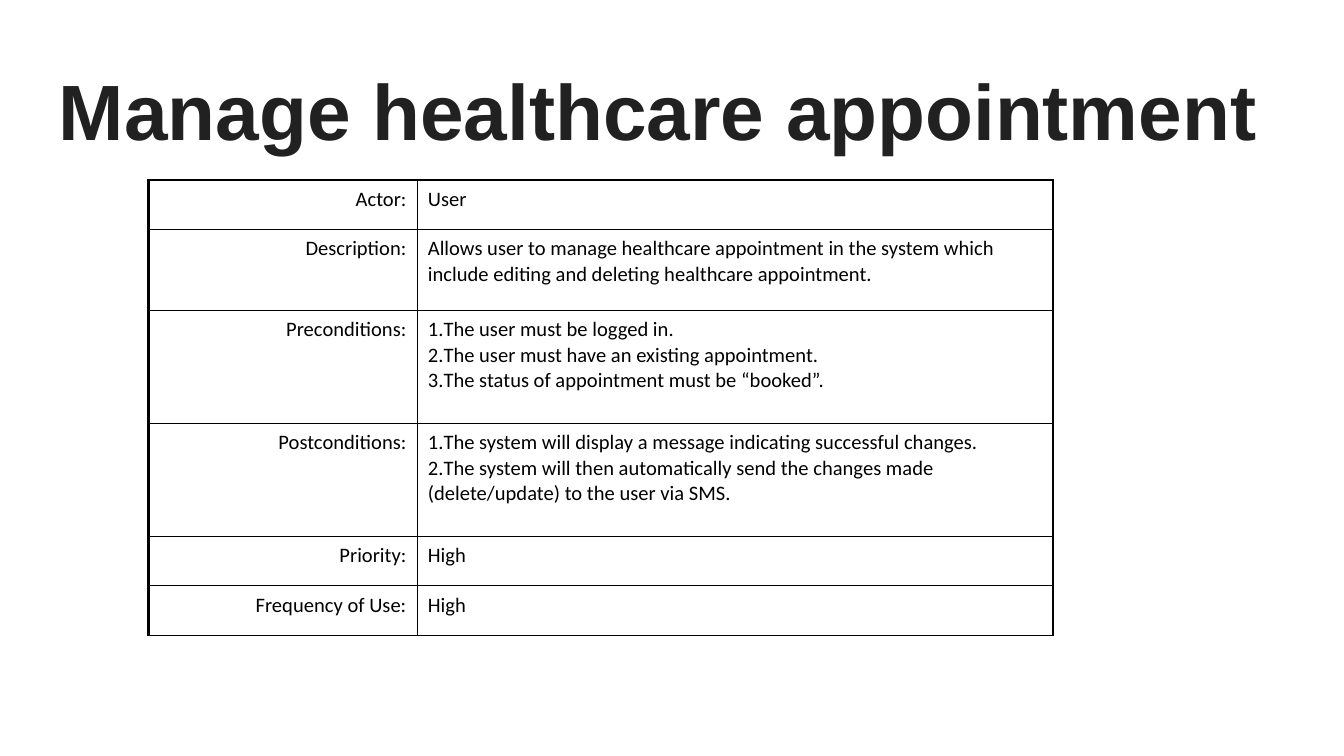
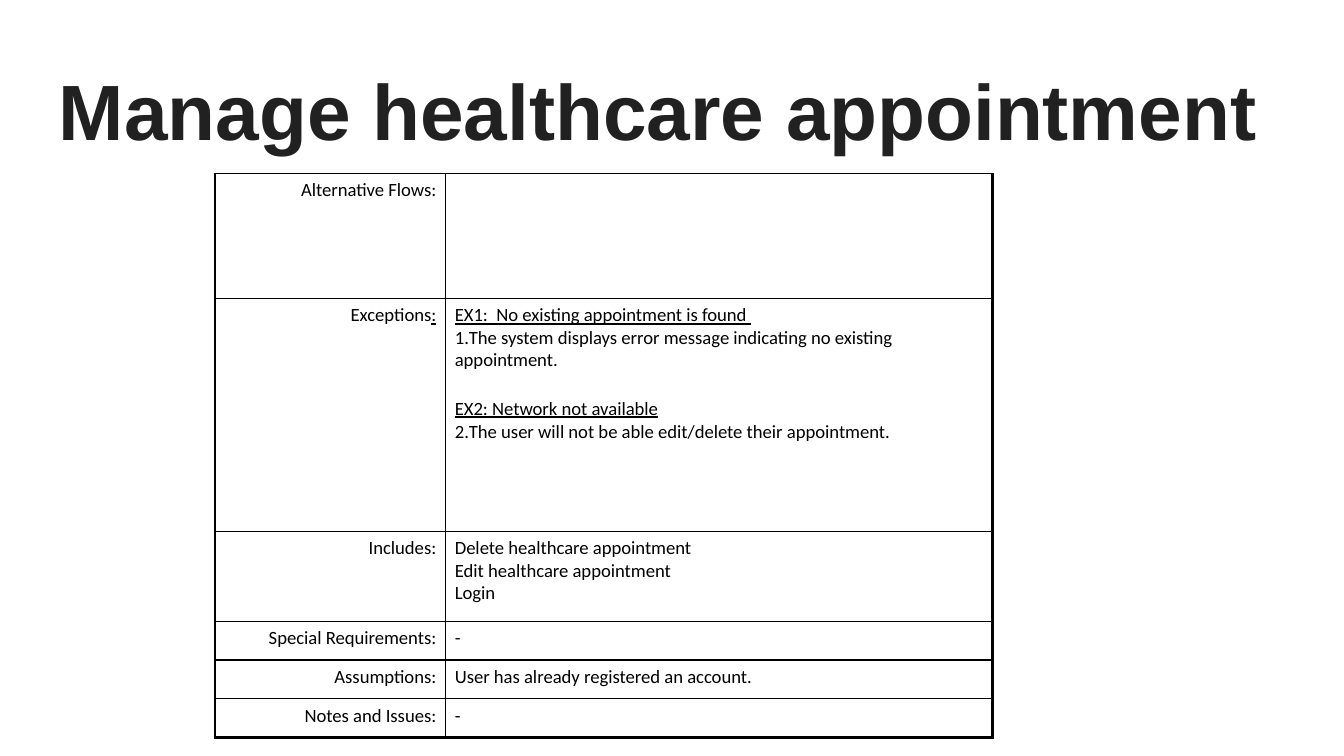
from dataclasses import dataclass

from lxml.etree import SubElement
from pptx import Presentation
from pptx.dml.color import RGBColor
from pptx.enum.text import MSO_ANCHOR, PP_ALIGN
from pptx.oxml.ns import qn
from pptx.util import Pt


@dataclass(frozen=True)
class Theme:
    ink: str = "212121"
    black: str = "000000"
    head: str = "Arial"
    body: str = "Calibri"
    title: float = 42
    thick: float = 1.5
    thin: float = 0.75


@dataclass(frozen=True)
class Line:
    """One paragraph; underscores enclose underlined text, num starts a list."""
    text: str
    num: int = 0
    gap: float = 0


@dataclass(frozen=True)
class Grid:
    left: float
    top: float
    cols: tuple
    rows: tuple
    size: float
    pad: tuple
    edges: str


class Deck:
    def __init__(self, theme):
        self.theme = theme
        self.prs = Presentation()
        self.prs.slide_width, self.prs.slide_height = Pt(720), Pt(405)
        self.slide = None

    def page(self, title):
        self.slide = self.prs.slides.add_slide(self.prs.slide_layouts[6])
        self.title(title)

    def run(self, para, text, font, size, color, bold=False, under=False):
        run = para.add_run()
        run.text = text
        style = run.font
        style.name, style.size = font, Pt(size)
        style.bold, style.underline = bold, under
        style.color.rgb = RGBColor.from_string(color)

    def title(self, text):
        look = self.theme
        box = self.slide.shapes.add_textbox(Pt(24.5), Pt(23), Pt(671), Pt(63.4))
        frame = box.text_frame
        frame.word_wrap = True
        frame.vertical_anchor = MSO_ANCHOR.MIDDLE
        frame.margin_left = frame.margin_right = Pt(7.2)
        frame.margin_top = frame.margin_bottom = Pt(7.2)
        para = frame.paragraphs[0]
        para.line_spacing = 1.15
        self.run(para, text, look.head, look.title, look.ink, bold=True)

    def number(self, para, start, hang):
        props = para._p.get_or_add_pPr()
        props.set("marL", "0")
        props.set("indent", str(-Pt(hang)))
        tint = SubElement(props, qn("a:buClr"))
        SubElement(tint, qn("a:srgbClr"), val=self.theme.black)
        SubElement(props, qn("a:buAutoNum"), type="arabicPeriod", startAt=str(start))

    def border(self, cell, heavy):
        """Rule all four sides, thick on those named in heavy."""
        props = cell._tc.get_or_add_tcPr()
        for side in "LRTB":
            width = self.theme.thick if side in heavy else self.theme.thin
            line = SubElement(props, qn(f"a:ln{side}"), w=str(Pt(width)))
            fill = SubElement(line, qn("a:solidFill"))
            SubElement(fill, qn("a:srgbClr"), val=self.theme.black)

    def fill(self, cell, lines, grid, align):
        look = self.theme
        across, down = grid.pad
        cell.margin_left = cell.margin_right = Pt(across)
        cell.margin_top = cell.margin_bottom = Pt(down)
        frame = cell.text_frame
        for i, line in enumerate(lines):
            para = frame.add_paragraph() if i else frame.paragraphs[0]
            para.alignment = align
            if line.gap:
                para.space_before = Pt(line.gap)
            if line.num:
                self.number(para, line.num, across)
            for j, part in enumerate(line.text.split("_")):
                if part:
                    self.run(para, part, look.body, grid.size, look.black,
                             under=j % 2 == 1)

    def table(self, grid, data):
        frame = self.slide.shapes.add_table(
            len(data), 2, Pt(grid.left), Pt(grid.top),
            Pt(sum(grid.cols)), Pt(sum(grid.rows)))
        table = frame.table
        table.first_row = table.horz_banding = False
        for col, width in zip(table.columns, grid.cols):
            col.width = Pt(width)
        for row, height in zip(table.rows, grid.rows):
            row.height = Pt(height)
        ends = {0: "T", len(data) - 1: "B"}
        for r, (label, lines) in enumerate(data):
            end = ends.get(r, "")
            rule = end if end in grid.edges else ""
            sides = (("L", [Line(label)], PP_ALIGN.RIGHT),
                     ("R", lines, PP_ALIGN.LEFT))
            for c, (side, text, align) in enumerate(sides):
                cell = table.cell(r, c)
                self.border(cell, side + rule)
                cell.fill.background()
                self.fill(cell, text, grid, align)


TITLE = "Manage healthcare appointment"

BASICS = [
    ("Actor:", [Line("User")]),
    ("Description:", [Line("Allows user to manage healthcare appointment in the system "
                           "which include editing and deleting healthcare appointment.")]),
    ("Preconditions:", [
        Line("The user must be logged in.", 1),
        Line("The user must have an existing appointment.", 1),
        Line("The status of appointment must be “booked”.", 1)]),
    ("Postconditions:", [
        Line("The system will display a message indicating successful changes.", 1),
        Line("The system will then automatically send the changes made "
             "(delete/update) to the user via SMS.", 1)]),
    ("Priority:", [Line("High")]),
    ("Frequency of Use:", [Line("High")]),
]

FLOWS = [
    ("Alternative Flows:", []),
    ("Exceptions_:_", [
        Line("_EX1:  No existing appointment is found _"),
        Line("The system displays error message indicating no existing appointment.", 1),
        Line("_EX2: Network not available_", gap=13.8),
        Line("The user will not be able edit/delete their appointment.", 2)]),
    ("Includes:", [
        Line("Delete healthcare appointment"),
        Line("Edit healthcare appointment"),
        Line("Login")]),
    ("Special Requirements:", [Line("-")]),
    ("Assumptions:", [Line("User has already registered an account.")]),
    ("Notes and Issues:", [Line("-")]),
]


def main():
    deck = Deck(Theme())
    pages = (
        (Grid(79.5, 96.5, (144, 340.6), (26.5, 43.4, 60.5, 60.5, 26.5, 26.5),
              11, (5.75, 3.6), "T"), BASICS),
        (Grid(115.2, 92.9, (123.5, 293), (67, 124.8, 48.2, 20.8, 20.8, 20.8),
              10, (5, 3), "B"), FLOWS),
    )
    for grid, data in pages:
        deck.page(TITLE)
        deck.table(grid, data)
    deck.prs.save("out.pptx")


if __name__ == "__main__":
    main()
